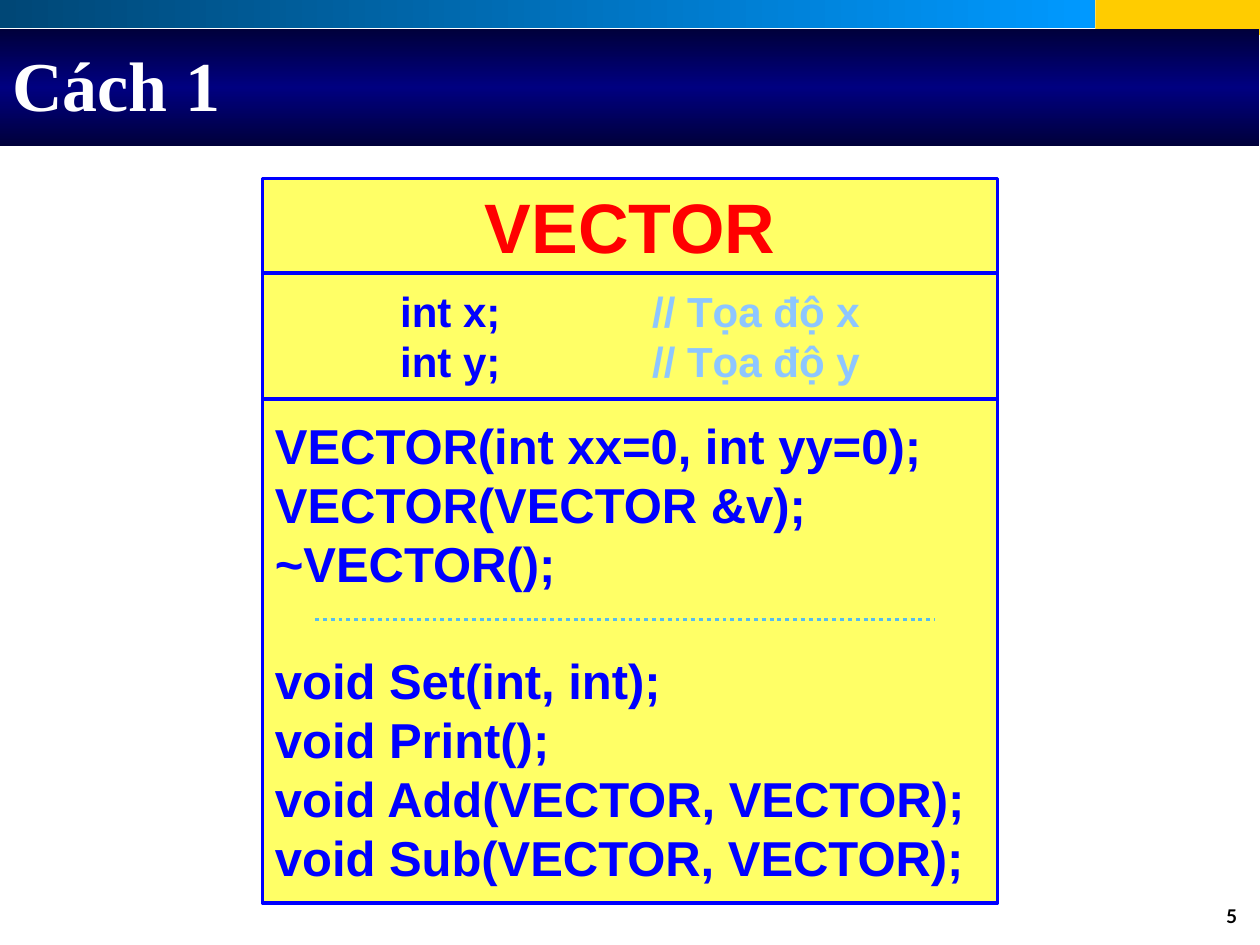
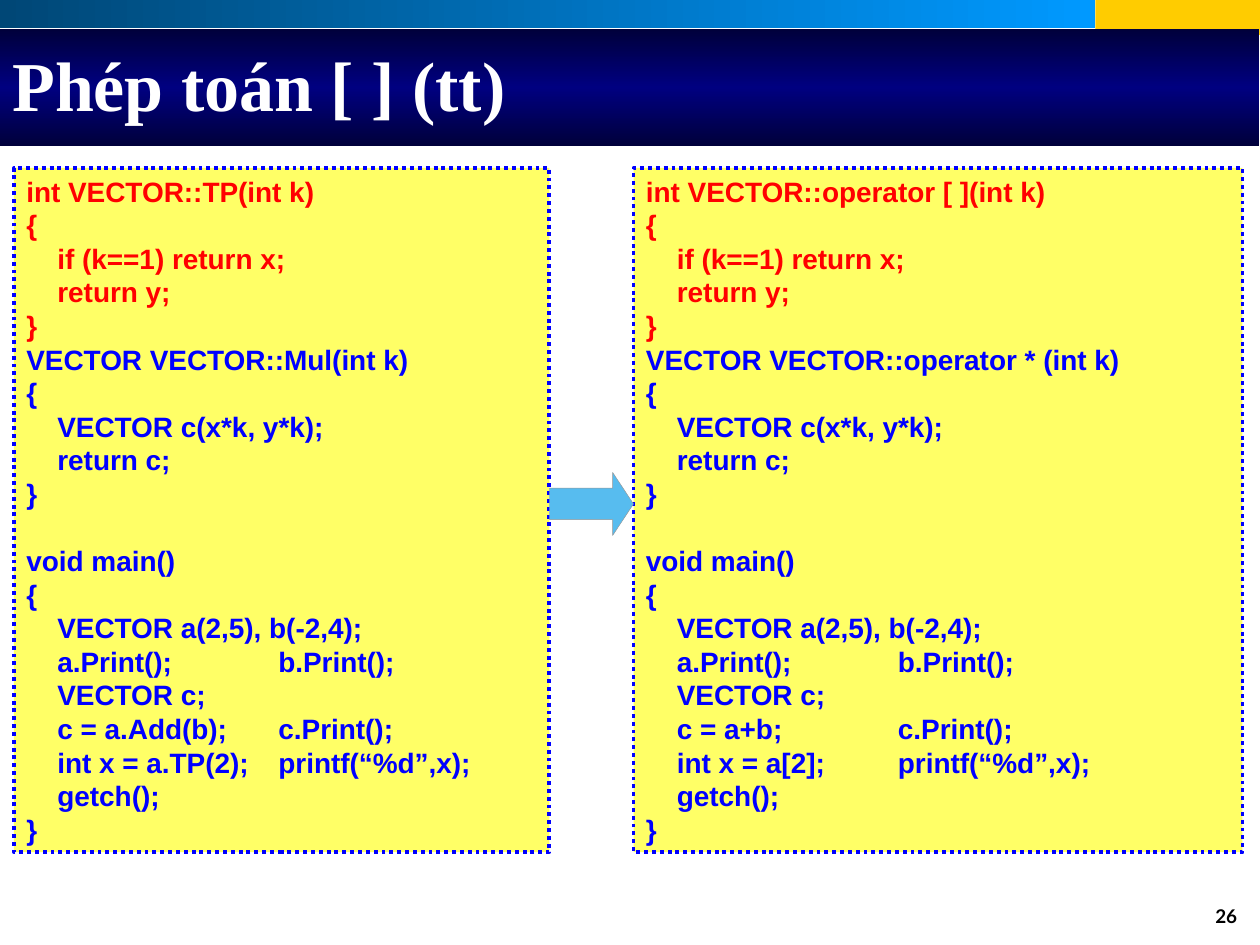
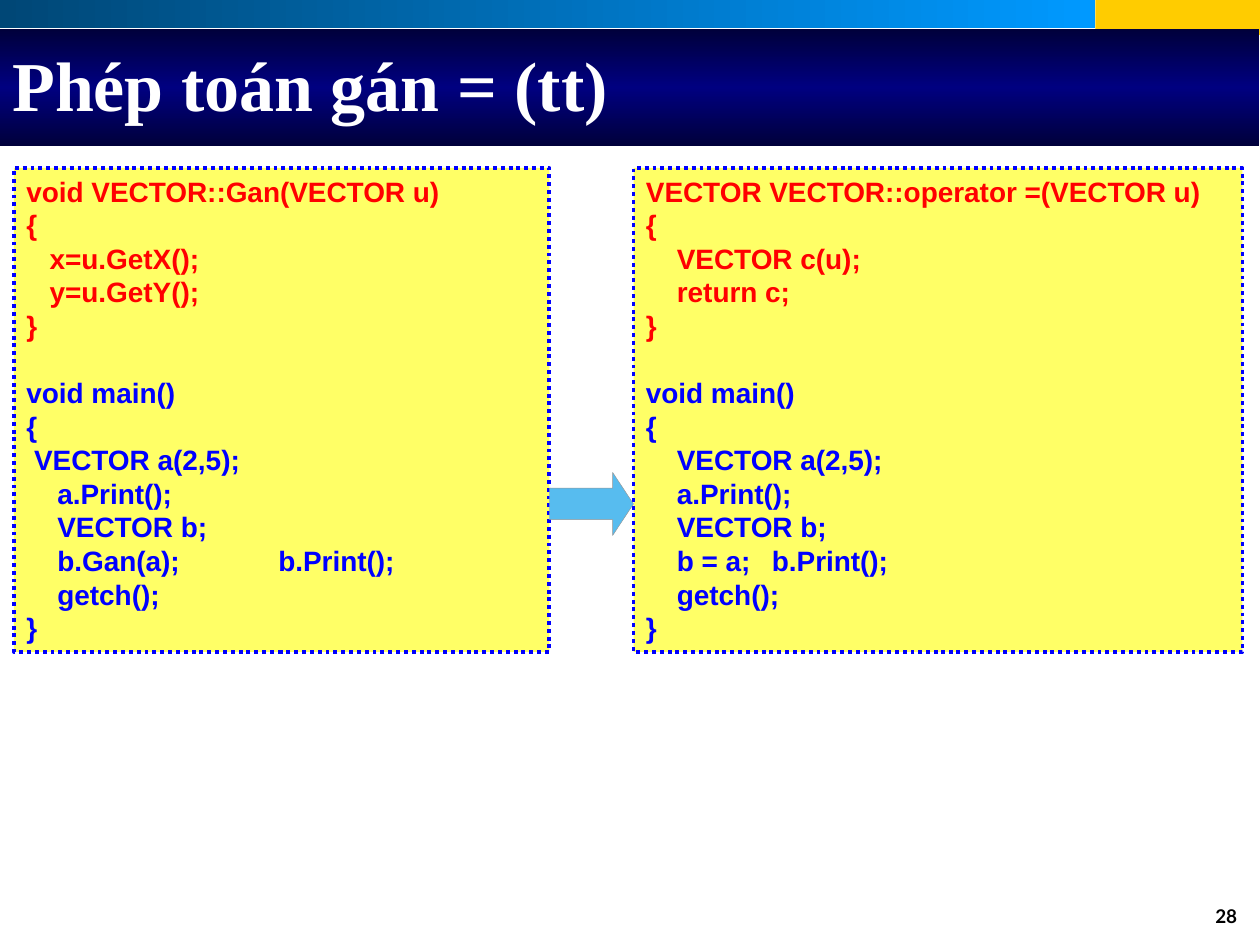
"""Build three slides on operators of the VECTOR class."""
from copy import deepcopy

from pptx import Presentation
from pptx.dml.color import RGBColor
from pptx.enum import dml, shapes, text
from pptx.oxml import parse_xml
from pptx.oxml.ns import nsdecls
from pptx.util import Pt

RED, BLUE, PALE, SKY = "FF0000", "0000FF", "8DC6FF", "57BCEF"
YELLOW, GOLD, WHITE, BLACK, GREY = "FFFF66", "FFCC00", "FFFFFF", "000000", "969696"
SKY_BAND, TITLE_BAND = ["004776", "0099FF"], ["00003B", "000080", "00003B"]
CODE_FONT, TITLE_FONT, NUMBER_FONT = "Arial", "Times New Roman", "Lato"
LINE_FACTOR = 1.2
TAB_STEP, TAB_COUNT = 72, 7
RECTANGLE, ARROW = shapes.MSO_SHAPE.RECTANGLE, shapes.MSO_SHAPE.RIGHT_ARROW
LEFT, CENTER, RIGHT = text.PP_ALIGN.LEFT, text.PP_ALIGN.CENTER, text.PP_ALIGN.RIGHT
TOP, MIDDLE = text.MSO_ANCHOR.TOP, text.MSO_ANCHOR.MIDDLE
DOTTED = dml.MSO_LINE.ROUND_DOT

CLASS_SLIDE = ("Cách 1", "5")
CLASS_LEFT, CLASS_TOP, CLASS_WIDTH = 150, 102, 420
CLASS_ROWS = [
    (54, 40, CENTER, [[[("VECTOR", RED)]]]),
    (72, 24, CENTER, [[
        [("int x;\t\t", BLUE), ("// Tọa độ x", PALE)],
        [("int y;\t\t", BLUE), ("// Tọa độ y", PALE)],
    ]]),
    (288, 28, LEFT, [
        [[("VECTOR(int xx=0, int yy=0);", BLUE)],
         [("VECTOR(VECTOR &v);", BLUE)],
         [("~VECTOR();", BLUE)]],
        [[("void Set(int, int);", BLUE)],
         [("void Print();", BLUE)],
         [("void Add(VECTOR, VECTOR);", BLUE)],
         [("void Sub(VECTOR, VECTOR);", BLUE)]],
    ]),
]
DIVIDER = (180, 354, 534, 354)

PANEL_TOP, PANEL_SIZE = 96, 16
PANEL_SPANS = [(8, 306), (362, 348)]
ARROW_PLACE = (314, 270, 48, 36)
COMPARISONS = [
    ("Phép toán [ ] (tt)", "26", 391, [
        [[(RED, """int VECTOR::TP(int k)
{
    if (k==1) return x;
    return y;
}"""), (BLUE, """VECTOR VECTOR::Mul(int k)
{
    VECTOR c(x*k, y*k);
    return c;
}""")], [(BLUE, """void main()
{
    VECTOR a(2,5), b(-2,4);
    a.Print();\tb.Print();
    VECTOR c;
    c = a.Add(b);\tc.Print();
    int x = a.TP(2);\tprintf(“%d”,x);
    getch();
}""")]],
        [[(RED, """int VECTOR::operator [ ](int k)
{
    if (k==1) return x;
    return y;
}"""), (BLUE, """VECTOR VECTOR::operator * (int k)
{
    VECTOR c(x*k, y*k);
    return c;
}""")], [(BLUE, """void main()
{
    VECTOR a(2,5), b(-2,4);
    a.Print();\tb.Print();
    VECTOR c;
    c = a+b;\tc.Print();
    int x = a[2];\tprintf(“%d”,x);
    getch();
}""")]],
    ]),
    ("Phép toán gán = (tt)", "28", 276.5, [
        [[(RED, """void VECTOR::Gan(VECTOR u)
{
   x=u.GetX();
   y=u.GetY();
}""")], [(BLUE, """void main()
{
 VECTOR a(2,5);
    a.Print();
    VECTOR b;
    b.Gan(a);\tb.Print();
    getch();
}""")]],
        [[(RED, """VECTOR VECTOR::operator =(VECTOR u)
{
    VECTOR c(u);
    return c;
}""")], [(BLUE, """void main()
{
    VECTOR a(2,5);
    a.Print();
    VECTOR b;
    b = a;\tb.Print();
    getch();
}""")]],
    ]),
]


def color(value):
    """Turn a hex string into a colour."""
    return RGBColor.from_string(value)


def points(*lengths):
    """Convert lengths to points."""
    return [Pt(length) for length in lengths]


def fill_gradient(shape, colors, angle):
    """Fill a shape with evenly spaced gradient colours."""
    shape.fill.gradient()
    shape.fill.gradient_angle = angle
    stops = shape.fill.gradient_stops
    stop_list = shape.fill._fill._gradFill.gsLst
    for _ in colors[len(stops):]:
        stop_list.append(deepcopy(stop_list[-1]))
    for index, (stop, value) in enumerate(zip(shape.fill.gradient_stops, colors)):
        stop.position = index / (len(colors) - 1)
        stop.color.rgb = color(value)


def add_shape(page, place, fill, line=None, width=1, dash=None, kind=RECTANGLE):
    """Add a flat shape, outlined when a line colour is given."""
    shape = page.shapes.add_shape(kind, *points(*place))
    shape.shadow.inherit = False
    if isinstance(fill, str):
        shape.fill.solid()
        shape.fill.fore_color.rgb = color(fill)
    if line:
        shape.line.color.rgb = color(line)
        shape.line.width = Pt(width)
        if dash:
            shape.line.dash_style = dash
    else:
        shape.line.fill.background()
    return shape


def add_span(para, words, font, size, ink):
    """Add one bold run to a paragraph."""
    span = para.add_run()
    span.text = words
    span.font.name, span.font.size, span.font.bold = font, Pt(size), True
    span.font.color.rgb = color(ink)


def add_label(page, place, words, font, size, ink, align=LEFT, anchor=TOP, spacing=1.0):
    """Add a text box with a single line."""
    box = page.shapes.add_textbox(*points(*place))
    box.text_frame.word_wrap = True
    box.text_frame.vertical_anchor = anchor
    para = box.text_frame.paragraphs[0]
    para.alignment, para.line_spacing = align, spacing
    add_span(para, words, font, size, ink)


def add_tabs(para):
    """Set evenly spaced left tab stops."""
    stops = "".join(f'<a:tab pos="{Pt(TAB_STEP * n)}" algn="l"/>' for n in range(1, TAB_COUNT + 1))
    para._p.get_or_add_pPr().append(parse_xml(f'<a:tabLst {nsdecls("a")}>{stops}</a:tabLst>'))


def write_code(box, groups, size, align=LEFT, anchor=TOP):
    """Write groups of code lines, one line of space between groups."""
    frame = box.text_frame
    frame.word_wrap = True
    frame.vertical_anchor = anchor
    pitch = Pt(size * LINE_FACTOR)
    para = None
    for group in groups:
        for index, line in enumerate(group):
            starts_group = para is not None and index == 0
            para = frame.paragraphs[0] if para is None else frame.add_paragraph()
            para.alignment, para.line_spacing = align, pitch
            para.space_before = pitch if starts_group else Pt(0)
            add_tabs(para)
            for words, ink in line:
                add_span(para, words, CODE_FONT, size, ink)


def add_page(deck, title, number):
    """Add a slide with its bands, title and number."""
    page = deck.slides.add_slide(deck.slide_layouts[6])
    add_shape(page, (626, 0, 94, 20), GOLD)
    fill_gradient(add_shape(page, (0, 0, 626, 16), None), SKY_BAND, 0)
    fill_gradient(add_shape(page, (0, 16.5, 719.5, 67), None), TITLE_BAND, 90)
    add_label(page, (0, 12, 684, 72), title, TITLE_FONT, 40, WHITE, anchor=MIDDLE)
    add_label(page, (546, 516, 168, 23), number, NUMBER_FONT, 10.8, BLACK, RIGHT, spacing=0.8)
    return page


def add_class_diagram(page):
    """Stack the class rows and draw the dotted divider."""
    top = CLASS_TOP
    for height, size, align, groups in CLASS_ROWS:
        box = add_shape(page, (CLASS_LEFT, top, CLASS_WIDTH, height), YELLOW, BLUE, 2)
        write_code(box, groups, size, align, MIDDLE)
        top += height
    divider = page.shapes.add_connector(shapes.MSO_CONNECTOR.STRAIGHT, *points(*DIVIDER))
    divider.line.color.rgb = color(SKY)
    divider.line.width = Pt(2.25)
    divider.line.dash_style = DOTTED
    divider._element.spPr.append(parse_xml(f'<a:effectLst {nsdecls("a")}/>'))


def add_comparison(page, height, panels):
    """Set two code panels side by side with an arrow between."""
    for (left, width), blocks in zip(PANEL_SPANS, panels):
        box = add_shape(page, (left, PANEL_TOP, width, height), YELLOW, BLUE, 2.25, DOTTED)
        groups = [[[(line, ink)] for ink, code in block for line in code.split("\n")]
                  for block in blocks]
        write_code(box, groups, PANEL_SIZE)
    arrow = add_shape(page, ARROW_PLACE, SKY, GREY, 0.25, kind=ARROW)
    arrow.adjustments[0], arrow.adjustments[1] = 0.5, 0.33


def main():
    """Build and save the deck."""
    deck = Presentation()
    deck.slide_width, deck.slide_height = points(720, 540)
    add_class_diagram(add_page(deck, *CLASS_SLIDE))
    for title, number, height, panels in COMPARISONS:
        add_comparison(add_page(deck, title, number), height, panels)
    deck.save("out.pptx")


if __name__ == "__main__":
    main()
